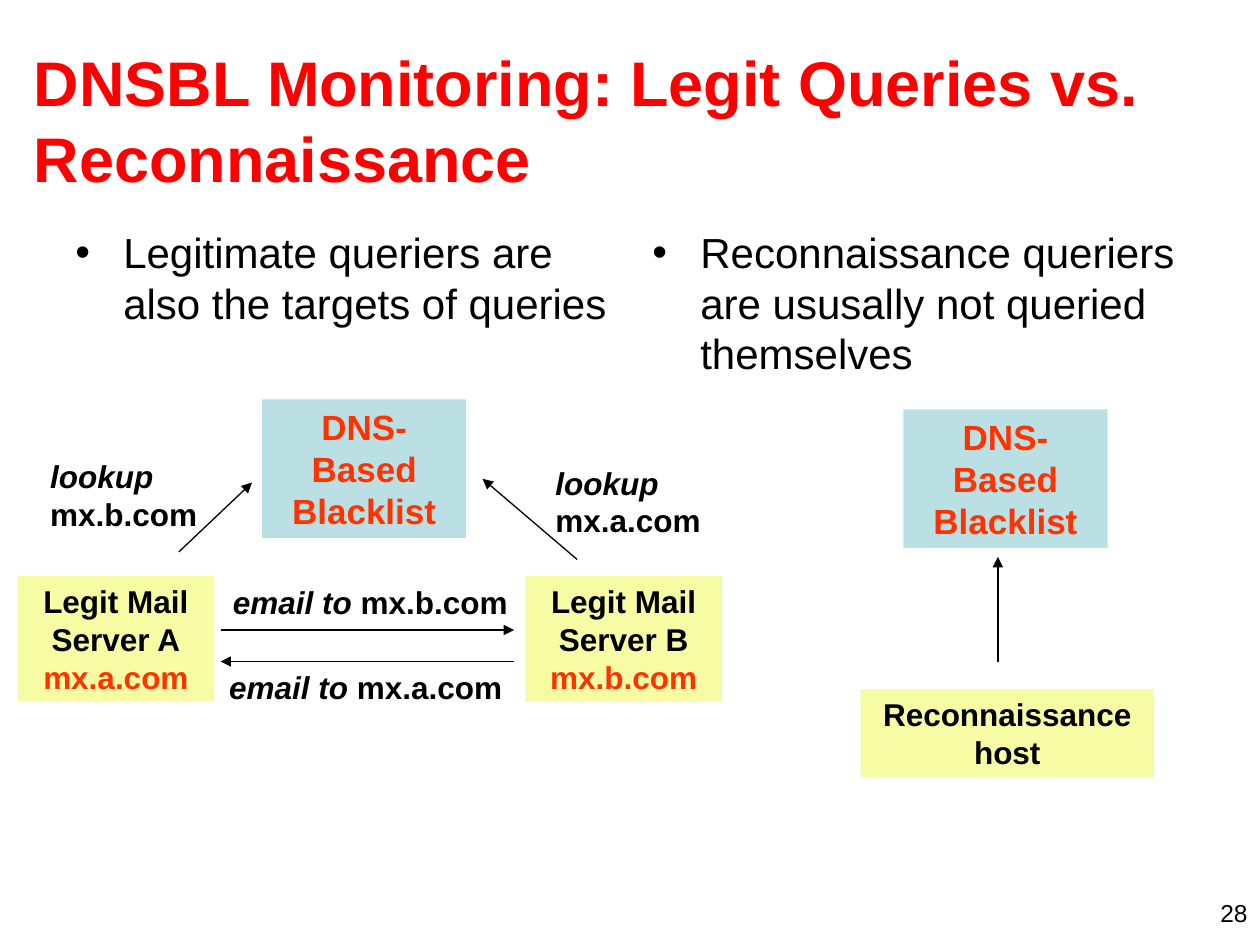
from dataclasses import dataclass

from lxml import etree
from pptx import Presentation
from pptx.dml.color import RGBColor
from pptx.enum.shapes import MSO_CONNECTOR, MSO_SHAPE
from pptx.enum.text import MSO_ANCHOR, MSO_AUTO_SIZE, PP_ALIGN
from pptx.oxml.ns import qn
from pptx.util import Inches, Pt

STRAIGHT = MSO_CONNECTOR.STRAIGHT
RECTANGLE = MSO_SHAPE.RECTANGLE
TOP, MIDDLE = MSO_ANCHOR.TOP, MSO_ANCHOR.MIDDLE
GROW = MSO_AUTO_SIZE.SHAPE_TO_FIT_TEXT
LEFT, CENTER, RIGHT = PP_ALIGN.LEFT, PP_ALIGN.CENTER, PP_ALIGN.RIGHT


@dataclass(frozen=True)
class Theme:
    font: str = "Arial"
    title: str = "FF0000"
    ink: str = "000000"
    accent: str = "FF3300"
    blacklist: str = "BBE0E3"
    host: str = "F7FBA3"
    title_size: int = 36
    bullet_size: int = 24
    blacklist_size: int = 20
    label_size: int = 18
    number_size: int = 14
    line_width: float = 0.75
    indent: float = 0.38


THEME = Theme()


@dataclass(frozen=True)
class Run:
    text: str
    size: int = THEME.label_size
    color: str = THEME.ink
    bold: bool = True
    italic: bool = False


@dataclass(frozen=True)
class Text:
    at: tuple[float, float, float, float]
    runs: tuple[Run, ...]
    align: PP_ALIGN = LEFT
    anchor: MSO_ANCHOR = TOP
    wrap: bool = True
    bullet: bool = False
    fill: str | None = None


@dataclass(frozen=True)
class Arrow:
    start: tuple[float, float]
    end: tuple[float, float]


def bullet_item(left: float, height: float, text: str) -> Text:
    run = Run(text, THEME.bullet_size, bold=False)
    return Text((left, 1.75, 4.42, height), (run,), bullet=True)


def blacklist(left: float, top: float) -> Text:
    run = Run("DNS-Based\nBlacklist", THEME.blacklist_size, THEME.accent)
    return Text((left, top, 1.62, 1.1), (run,), CENTER, fill=THEME.blacklist)


def mail_server(left: float, letter: str) -> Text:
    runs = (Run(f"Legit Mail Server {letter}\n"),
            Run(f"mx.{letter.lower()}.com", color=THEME.accent))
    return Text((left, 4.57, 1.56, 1), runs, CENTER, fill=THEME.host)


def label(left: float, top: float, width: float, height: float,
          action: str, target: str) -> Text:
    runs = (Run(action, italic=True), Run(target))
    return Text((left, top, width, height), runs, wrap=False)


TEXTS = (
    Text((0.17, 0.32, 9.58, 1.25),
         (Run("DNSBL Monitoring: Legit Queries vs. Reconnaissance",
              THEME.title_size, THEME.title),), anchor=MIDDLE),
    bullet_item(0.5, 1, "Legitimate queriers are also the targets of queries"),
    bullet_item(5.08, 1.33,
                "Reconnaissance queriers are ususally not queried themselves"),
    blacklist(2.08, 3.17),
    blacklist(7.17, 3.25),
    mail_server(0.14, "A"),
    mail_server(4.17, "B"),
    Text((6.83, 5.47, 2.33, 0.7), (Run("Reconnaissance host"),),
         CENTER, fill=THEME.host),
    label(1.75, 4.58, 2.4, 0.4, "email to", " mx.b.com"),
    label(1.72, 5.25, 2.4, 0.4, "email to", " mx.a.com"),
    label(0.3, 3.58, 1.4, 0.7, "lookup\n", "mx.b.com"),
    label(4.31, 3.63, 1.4, 0.7, "lookup\n", "mx.a.com"),
    Text((7.67, 7.08, 2.33, 0.25),
         (Run("28", THEME.number_size, bold=False),), RIGHT),
)

ARROWS = (
    Arrow((1.42, 4.38), (2, 3.83)),
    Arrow((4.58, 4.44), (3.83, 3.8)),
    Arrow((1.75, 5), (4.08, 5)),
    Arrow((4.08, 5.25), (1.75, 5.25)),
    Arrow((7.92, 5.25), (7.92, 4.42)),
)


def add_bullet(para) -> None:
    properties = para._p.get_or_add_pPr()
    indent = Inches(THEME.indent)
    properties.set("marL", str(indent))
    properties.set("indent", str(-indent))
    color = etree.SubElement(properties, qn("a:buClr"))
    etree.SubElement(color, qn("a:srgbClr"), val=THEME.ink)
    etree.SubElement(properties, qn("a:buFont"), typeface=THEME.font)
    etree.SubElement(properties, qn("a:buChar"), char="•")


def add_run(para, run: Run) -> None:
    """Add one format of text, with each newline as a line break."""
    for number, line in enumerate(run.text.split("\n")):
        if number:
            para.add_line_break()
        if not line:
            continue
        span = para.add_run()
        span.text = line
        formats = {"name": THEME.font, "size": Pt(run.size),
                   "bold": run.bold, "italic": run.italic}
        for name, value in formats.items():
            setattr(span.font, name, value)
        span.font.color.rgb = RGBColor.from_string(run.color)


def add_text(slide, text: Text) -> None:
    place = [Inches(length) for length in text.at]
    if text.fill:
        box = slide.shapes.add_shape(RECTANGLE, *place)
        box.shadow.inherit = False
        box.fill.solid()
        box.fill.fore_color.rgb = RGBColor.from_string(text.fill)
        box.line.fill.background()
    else:
        box = slide.shapes.add_textbox(*place)
    frame = box.text_frame
    formats = {"word_wrap": text.wrap, "vertical_anchor": text.anchor,
               "margin_left": Inches(0.1), "margin_right": Inches(0.1),
               "margin_top": Inches(0.05), "margin_bottom": Inches(0.05)}
    if text.fill or not text.wrap:
        formats["auto_size"] = GROW
    for name, value in formats.items():
        setattr(frame, name, value)
    para = frame.paragraphs[0]
    para.alignment = text.align
    if text.bullet:
        add_bullet(para)
    for run in text.runs:
        add_run(para, run)


def add_arrow(slide, arrow: Arrow) -> None:
    ends = [Inches(length) for length in arrow.start + arrow.end]
    connector = slide.shapes.add_connector(STRAIGHT, *ends)
    connector.line.color.rgb = RGBColor.from_string(THEME.ink)
    connector.line.width = Pt(THEME.line_width)
    outline = connector.line._get_or_add_ln()
    etree.SubElement(outline, qn("a:tailEnd"), type="triangle")
    etree.SubElement(connector._element.spPr, qn("a:effectLst"))


def main() -> None:
    deck = Presentation()
    deck.slide_width, deck.slide_height = Inches(10), Inches(7.5)
    page = deck.slides.add_slide(deck.slide_layouts[6])
    for text in TEXTS:
        add_text(page, text)
    for arrow in ARROWS:
        add_arrow(page, arrow)
    deck.save("out.pptx")


if __name__ == "__main__":
    main()
